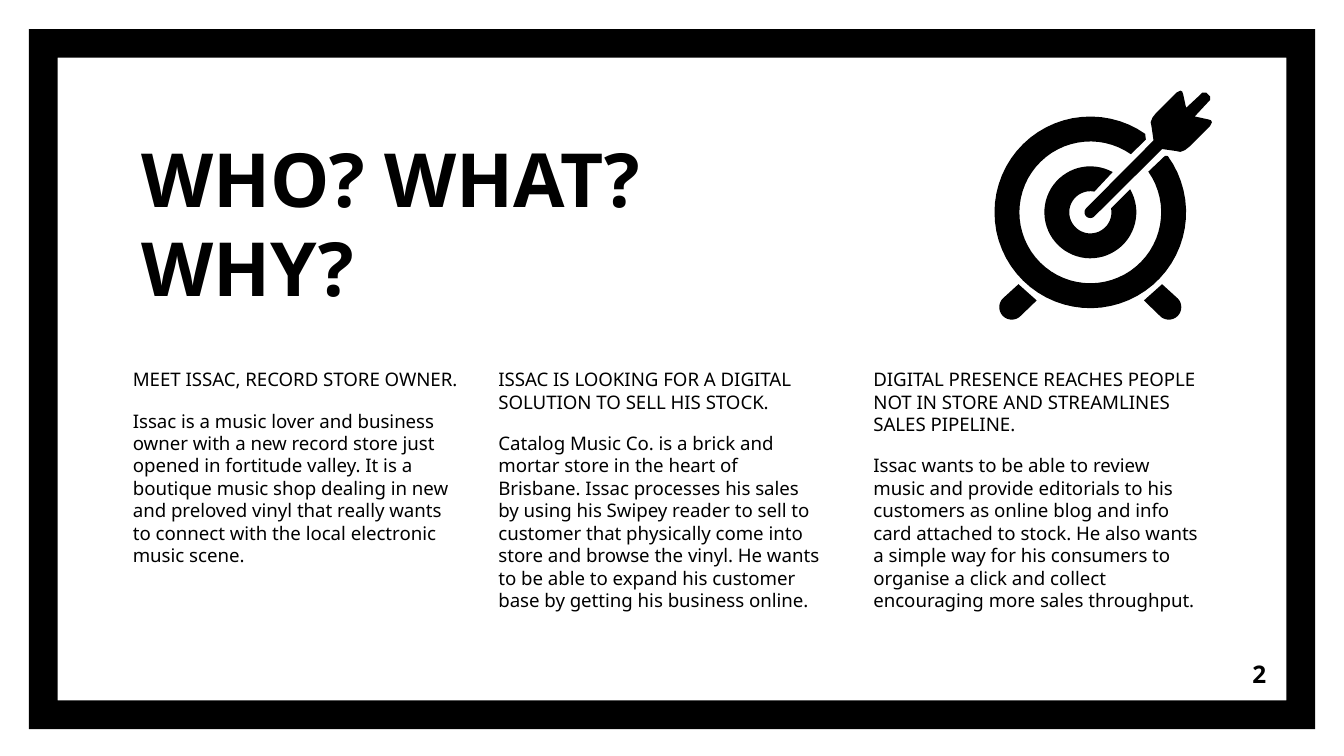
from math import cos, radians, sin

from pptx import Presentation
from pptx.dml.color import RGBColor
from pptx.enum.shapes import MSO_SHAPE as Shape
from pptx.enum.text import MSO_ANCHOR as Anchor, PP_ALIGN as Align
from pptx.util import Inches, Pt

WIDTH = Inches(10)
HEIGHT = WIDTH * 9 // 16
UNIT = WIDTH / 100  # square grid, 100 columns wide
BLACK = "000000"
FONT = "Noto Sans"

STORY = [
    ("MEET ISSAC, RECORD STORE OWNER.",
     "Issac is a music lover and business owner with a new record store just "
     "opened in fortitude valley. It is a boutique music shop dealing in new "
     "and preloved vinyl that really wants to connect with the local "
     "electronic music scene."),
    ("ISSAC IS LOOKING FOR A DIGITAL SOLUTION TO SELL HIS STOCK.",
     "Catalog Music Co. is a brick and mortar store in the heart of Brisbane. "
     "Issac processes his sales by using his Swipey reader to sell to customer "
     "that physically come into store and browse the vinyl. He wants to be "
     "able to expand his customer base by getting his business online."),
    ("DIGITAL PRESENCE REACHES PEOPLE NOT IN STORE AND STREAMLINES SALES "
     "PIPELINE.",
     "Issac wants to be able to review music and provide editorials to his "
     "customers as online blog and info card attached to stock. He also wants "
     "a simple way for his consumers to organise a click and collect "
     "encouraging more sales throughput."),
]


def color(value):
    return RGBColor.from_string(value)


def grid(*cells):
    return [round(cell * UNIT) for cell in cells]


def paint(shape):
    shape.fill.solid()
    shape.fill.fore_color.rgb = color(BLACK)
    shape.line.fill.background()
    shape.shadow.inherit = False


def write(frame, paragraphs, size, bold=False, align=Align.LEFT,
          anchor=Anchor.TOP):
    """Fill a text frame with (text, space before, space after) paragraphs."""
    frame.word_wrap = True
    frame.vertical_anchor = anchor
    frame.margin_left, frame.margin_right = grid(1, 1)
    frame.margin_top, frame.margin_bottom = grid(1, 1)
    for index, (text, before, after) in enumerate(paragraphs):
        paragraph = frame.add_paragraph() if index else frame.paragraphs[0]
        paragraph.alignment = align
        paragraph.line_spacing = 1.0
        paragraph.space_before, paragraph.space_after = Pt(before), Pt(after)
        run = paragraph.add_run()
        run.text = text
        run.font.name, run.font.size, run.font.bold = FONT, Pt(size), bold
        run.font.color.rgb = color(BLACK)


def add_border(slide, box):
    border = slide.shapes.add_shape(Shape.FRAME, *box)
    border.adjustments[0] = 0.041
    paint(border)


def add_title(slide, box):
    title = slide.shapes.title
    title.left, title.top, title.width, title.height = box
    write(title.text_frame, [("WHO? WHAT? WHY?", 0, 0)], 40, bold=True,
          anchor=Anchor.BOTTOM)


def add_story_column(slide, box, heading, body):
    column = slide.shapes.add_textbox(*box)
    write(column.text_frame, [(heading, 6, 0), (body, 10, 10)], 10)


def add_page_number(slide, box):
    number = slide.shapes.add_textbox(*box)
    write(number.text_frame, [("2", 0, 0)], 13, bold=True, align=Align.RIGHT,
          anchor=Anchor.MIDDLE)


def arc(radius, start, end, center=(0, 0)):
    """Points on an arc, from start to end in degrees."""
    steps = 60
    angles = [radians(start + (end - start) * i / steps)
              for i in range(steps + 1)]
    return [(center[0] + radius * cos(a), center[1] + radius * sin(a))
            for a in angles]


def add_target(slide, box):
    """Target with an arrow; points count in outer radii, with y upwards."""
    left, top, width, height = box
    radius = 0.44 * width
    center_x, center_y = left + radius, top + 0.535 * height

    outer_ring = (arc(1, 55, 396) + [(0.78, 0.59)]
                  + arc(0.74, 395, 55) + [(0.58, 0.76)])
    middle_ring = arc(0.48, 61, 390) + arc(0.22, 371, 79)
    leg = ([(0.75, -0.75), (0.65, -0.84), (0.56, -0.92)]
           + arc(0.13, 225, 405, (0.82, -0.99)))
    mirrored_leg = [(-x, y) for x, y in leg]
    arrow_side = [(0.75, 0.66), (0.89, 0.64), (0.94, 0.63), (0.99, 0.65),
                  (1.04, 0.69), (1.25, 0.9), (1.27, 0.94), (1.26, 0.96),
                  (1.23, 0.97), (1.09, 1), (1.22, 1.14), (1.25, 1.17),
                  (1.25, 1.21), (1.23, 1.23)]
    arrow = (arc(0.06, 135, 315) + arrow_side
             + [(y, x) for x, y in reversed(arrow_side)])

    for outline in (outer_ring, middle_ring, mirrored_leg, leg, arrow):
        points = [(round(center_x + x * radius), round(center_y - y * radius))
                  for x, y in outline]
        builder = slide.shapes.build_freeform(*points[0])
        builder.add_line_segments(points[1:], close=True)
        paint(builder.convert_to_shape())


def main():
    deck = Presentation()
    deck.slide_width, deck.slide_height = WIDTH, HEIGHT
    slide = deck.slides.add_slide(deck.slide_layouts.get_by_name("Title Only"))
    add_border(slide, grid(2.16, 2.16, 95.7, 52.1))
    add_title(slide, grid(9.5, 9.3, 55.7, 14.9))
    for left, (heading, body) in zip((8.9, 36.1, 64), STORY):
        add_story_column(slide, grid(left, 26.4, 26.2, 22.3), heading, body)
    add_page_number(slide, grid(89.2, 48, 6, 4.3))
    add_target(slide, grid(74, 6.6, 16.2, 17.2))
    deck.save("out.pptx")


if __name__ == "__main__":
    main()
